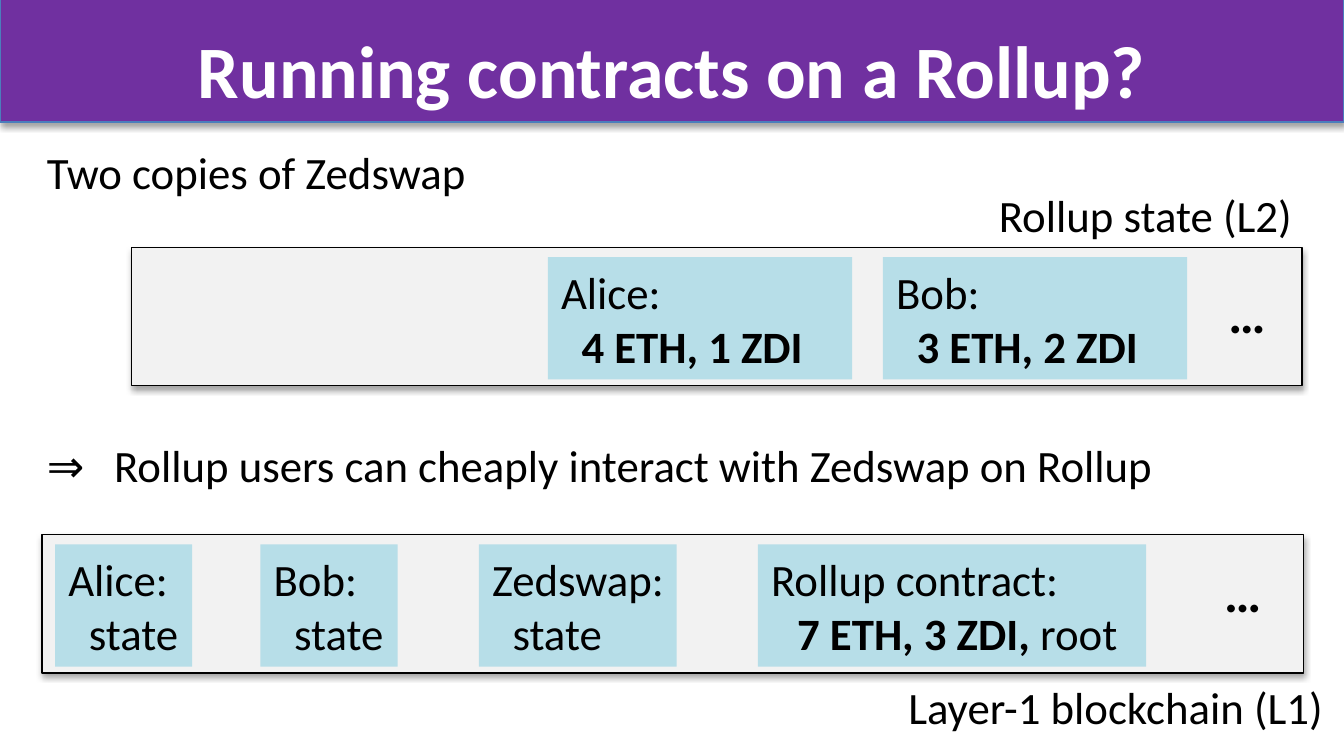
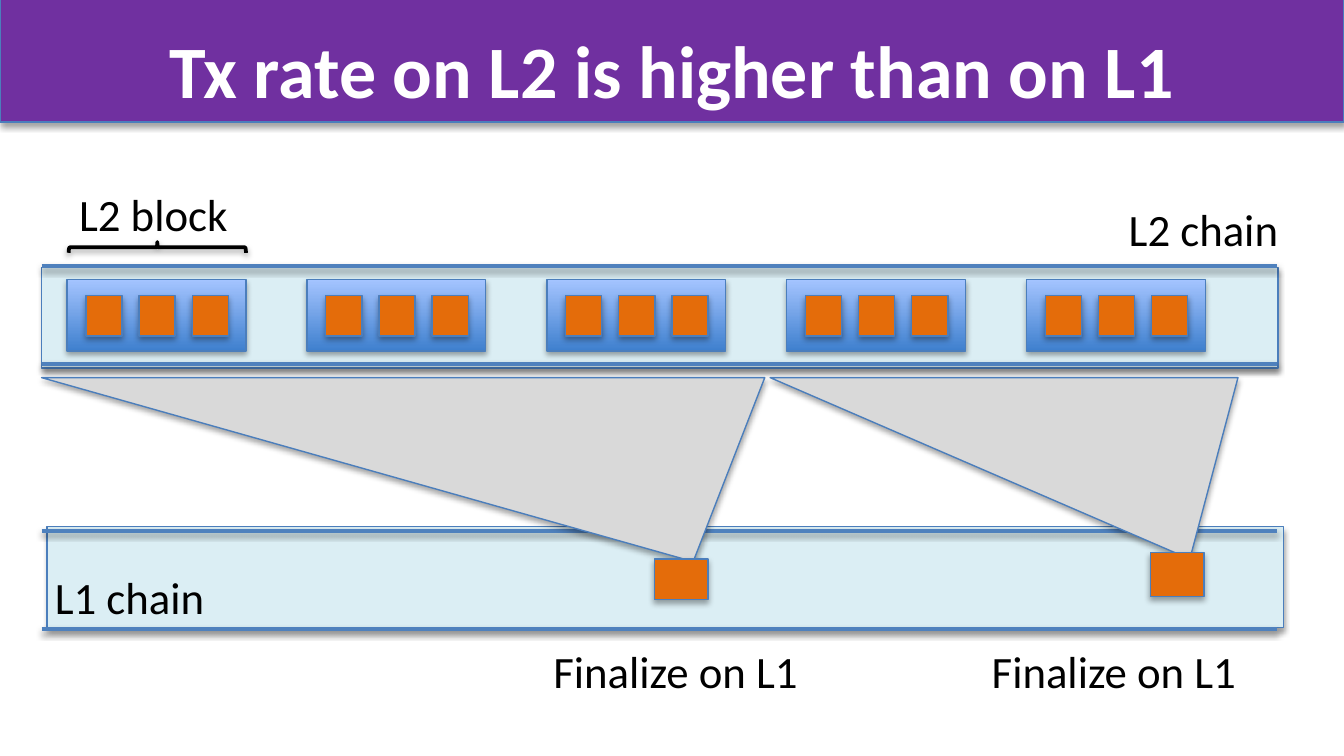
"""Build two slides on rollups: contract state on L1 and L2, and L2 transaction rate."""
from pptx import Presentation
from pptx.dml.color import RGBColor
from pptx.enum.shapes import MSO_CONNECTOR, MSO_SHAPE
from pptx.enum.text import MSO_ANCHOR, MSO_AUTO_SIZE, PP_ALIGN
from pptx.oxml import parse_xml
from pptx.util import Pt

RECT, TRIANGLE, BRACE = MSO_SHAPE.RECTANGLE, MSO_SHAPE.ISOSCELES_TRIANGLE, MSO_SHAPE.RIGHT_BRACE
STRAIGHT = MSO_CONNECTOR.STRAIGHT
LEFT, CENTER = PP_ALIGN.LEFT, PP_ALIGN.CENTER
TOP, MIDDLE = MSO_ANCHOR.TOP, MSO_ANCHOR.MIDDLE
NO_AUTOFIT = MSO_AUTO_SIZE.NONE

FONT = "Calibri"
BLACK, WHITE, PURPLE = "000000", "FFFFFF", "7030A0"
EDGE, RAIL, ORANGE = "4B7EBC", "4F81BD", "E46C0A"
STATE_FILL, CHAIN_FILL, ACCOUNT_FILL, BATCH_FILL = "F2F2F2", "DBEEF4", "B7DEE8", "D9D9D9"
BLOCK_BOTTOM, BLOCK_TOP = "3F80CE", "A4C4FF"
SHADOW = (
    '<a:effectLst xmlns:a="http://schemas.openxmlformats.org/drawingml/2006/main">'
    '<a:outerShdw blurRad="40000" dist="23000" dir="5400000" rotWithShape="0">'
    '<a:srgbClr val="000000"><a:alpha val="35000"/></a:srgbClr>'
    '</a:outerShdw></a:effectLst>'
)
color = RGBColor.from_string


def add_figure(slide, kind, left, top, width, height, fill=None, edge=None, weight=0.75):
    """Add a preset shape; an outlined one also casts the shared shadow."""
    figure = slide.shapes.add_shape(kind, Pt(left), Pt(top), Pt(width), Pt(height))
    if fill:
        figure.fill.solid()
        figure.fill.fore_color.rgb = color(fill)
    else:
        figure.fill.background()
    if edge:
        figure.line.color.rgb = color(edge)
        figure.line.width = Pt(weight)
        figure.element.spPr.append(parse_xml(SHADOW))
    else:
        figure.line.fill.background()
        figure.shadow.inherit = False
    return figure


def write(holder, lines, size=24, indent=0, anchor=TOP):
    """Write left-aligned lines, bold between asterisks, indenting those after the first."""
    frame = holder.text_frame
    frame.word_wrap = True
    frame.margin_right = 0
    frame.vertical_anchor = anchor
    for number, line in enumerate(lines):
        paragraph = frame.add_paragraph() if number else frame.paragraphs[0]
        paragraph.alignment = LEFT
        if number:
            paragraph._p.get_or_add_pPr().set("marL", str(Pt(indent)))
        for position, part in enumerate(line.split("*")):
            if part:
                run = paragraph.add_run()
                run.text = part
                run.font.name = FONT
                run.font.size = Pt(size)
                run.font.bold = position % 2 == 1
                run.font.color.rgb = color(BLACK)


deck = Presentation()
deck.slide_width, deck.slide_height = Pt(720), Pt(405)
layout = deck.slide_layouts[5]
heading = layout.placeholders[0]
heading.left, heading.top, heading.width, heading.height = Pt(36), Pt(12.5), Pt(648), Pt(49)

contracts = deck.slides.add_slide(layout)
rate = deck.slides.add_slide(layout)
title_band = add_figure(contracts, RECT, 0, -0.5, 720, 66, PURPLE, EDGE)
layout.shapes.element.insert(2, title_band.element)

for slide, headline in (
    (contracts, "Running contracts on a Rollup?"),
    (rate, "Tx rate on L2 is higher than on L1"),
):
    title = slide.shapes.title
    title.text_frame.text = headline
    title.text_frame.auto_size = NO_AUTOFIT
    title.text_frame.vertical_anchor = MIDDLE
    paragraph = title.text_frame.paragraphs[0]
    paragraph.alignment = CENTER
    font = paragraph.runs[0].font
    font.name, font.size, font.bold = FONT, Pt(39.6), True
    font.color.rgb = color(WHITE)

add_figure(contracts, RECT, 22.5, 286.5, 676, 74, STATE_FILL, BLACK)
add_figure(contracts, RECT, 70.5, 132.5, 627, 74, STATE_FILL, BLACK)

L1_TOP, L2_TOP = 291.6, 137.7
for left, top, width, indent, owner, holding in (
    (29.5, L1_TOP, 73.5, 11, "Alice:", "state"),
    (139.5, L1_TOP, 73.5, 11, "Bob:", "state"),
    (256.5, L1_TOP, 106, 11, "Zedswap:", "state"),
    (406, L1_TOP, 208, 14, "Rollup contract:", "*7 ETH, 3 ZDI,* root"),
    (293.5, L2_TOP, 163, 11, "Alice:", "*4 ETH, 1 ZDI*"),
    (473, L2_TOP, 163, 11, "Bob:", "*3 ETH, 2 ZDI*"),
):
    account = add_figure(contracts, RECT, left, top, width, 65.5, ACCOUNT_FILL)
    write(account, [owner, holding], indent=indent, anchor=MIDDLE)

add_figure(rate, RECT, 25.2, 282.2, 662.4, 54, CHAIN_FILL, EDGE)
add_figure(rate, RECT, 22.3, 143.2, 662.4, 54, CHAIN_FILL, EDGE)
for y in (142.6, 195.1, 284.4, 337):
    rail = rate.shapes.add_connector(STRAIGHT, Pt(22.3), Pt(y), Pt(684), Pt(y))
    rail.line.color.rgb = color(RAIL)
    rail.line.width = Pt(2)
    rail.element.spPr.append(parse_xml(SHADOW))

for block_number in range(5):
    block_left = 36 + 128.5 * block_number
    block = add_figure(rate, RECT, block_left, 149.8, 95.8, 38.2, edge=EDGE)
    block.fill.gradient()
    block.fill.gradient_angle = 90
    for stop, shade in zip(block.fill.gradient_stops, (BLOCK_BOTTOM, BLOCK_TOP)):
        stop.color.rgb = color(shade)
    for tx_number in range(3):
        add_figure(rate, RECT, block_left + 10 + 28.5 * tx_number, 158.4, 19.4, 21.6, ORANGE, EDGE)

block_brace = add_figure(rate, BRACE, 81.4, 85, 5.8, 95, edge=BLACK, weight=2)
block_brace.rotation = 270

for left, width, height, tip, proof_left, proof_top, proof_height in (
    (22.3, 387.4, 98.6, 0.099, 350.6, 299.5, 21.6),
    (412.6, 250.6, 97.2, 0.103, 616.3, 295.9, 23.8),
):
    batch = add_figure(rate, TRIANGLE, left, 202.3, width, height, BATCH_FILL, EDGE)
    batch.rotation = 180
    batch.adjustments[0] = tip
    add_figure(rate, RECT, proof_left, proof_top, 28.8, proof_height, ORANGE, EDGE)

for slide, left, top, width, size, label in (
    (contracts, 651, 147, 34.6, 28, "*…*"),
    (contracts, 648.7, 296.6, 34.6, 28, "*…*"),
    (contracts, 18, 74.2, 239, 24, "Two copies of Zedswap"),
    (contracts, 528, 97.2, 173, 24, "Rollup state (L2)"),
    (contracts, 479.5, 360.7, 239, 24, "Layer-1 blockchain (L1)"),
    (rate, 35.3, 96.5, 95, 24, "L2 block"),
    (rate, 597.6, 104.4, 95, 24, "L2 chain"),
    (rate, 22.3, 301.7, 95, 24, "L1 chain"),
    (rate, 289.4, 341.3, 147, 24, "Finalize on L1"),
    (rate, 524.2, 341.3, 147, 24, "Finalize on L1"),
):
    caption = slide.shapes.add_textbox(Pt(left), Pt(top), Pt(width), Pt(36))
    write(caption, [label], size)

conclusion = contracts.shapes.add_textbox(Pt(18), Pt(231.1), Pt(630), Pt(36))
write(conclusion, ["⇒\tRollup users can cheaply interact with Zedswap on Rollup"])
hanging = conclusion.text_frame.paragraphs[0]._p.get_or_add_pPr()
hanging.set("marL", str(Pt(36)))
hanging.set("indent", str(Pt(-36)))

deck.save("out.pptx")
